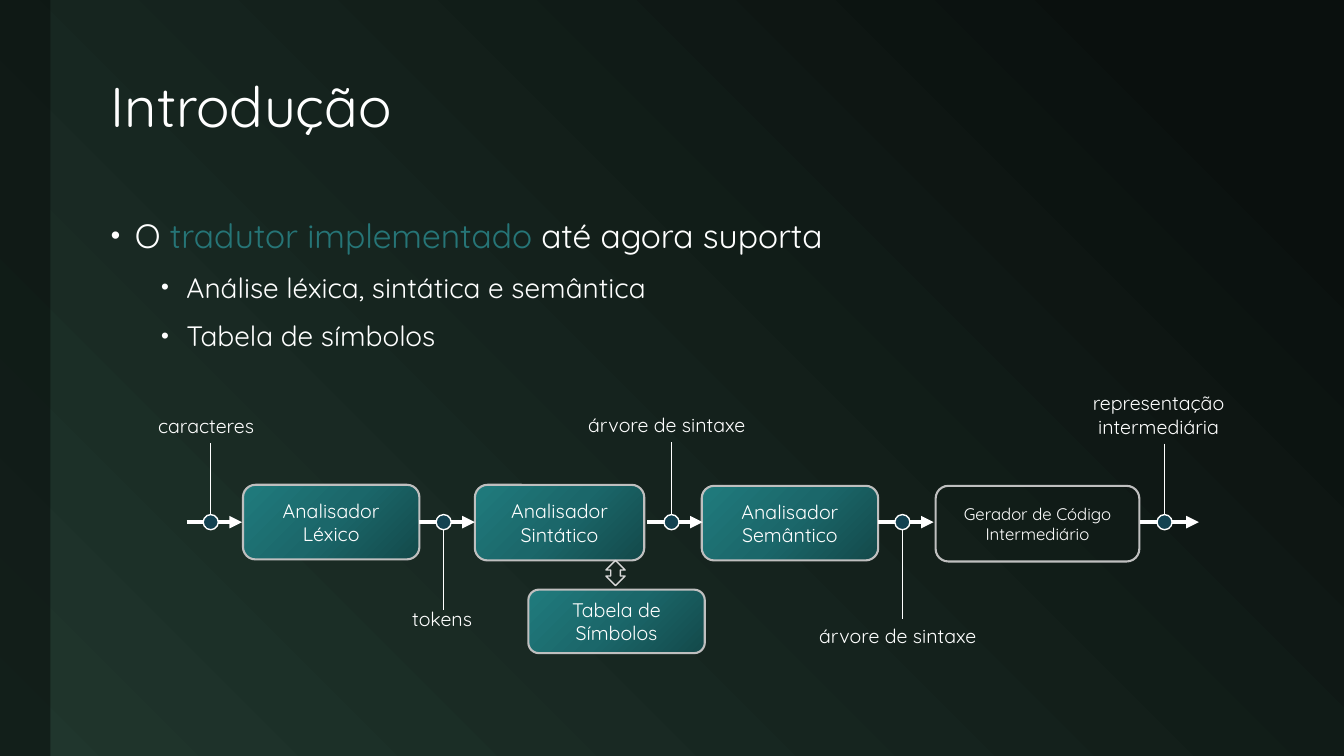
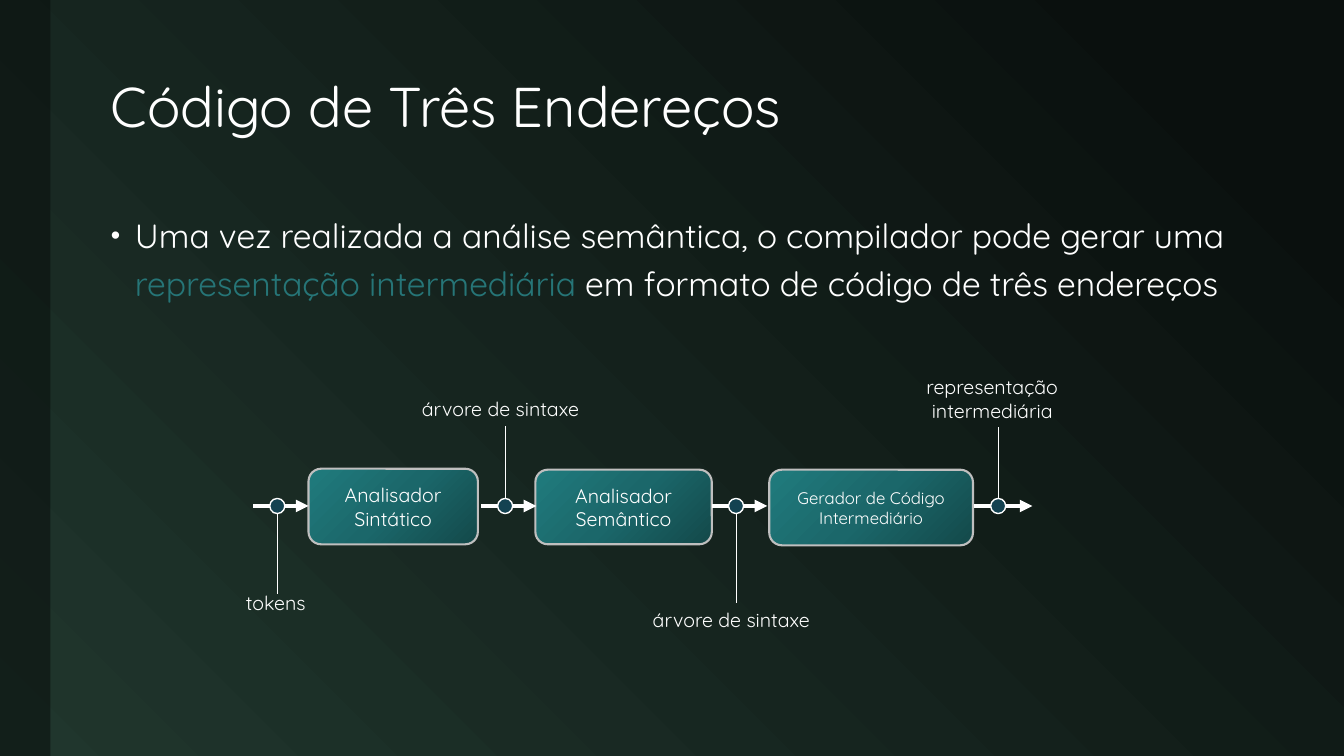
from copy import deepcopy
from dataclasses import dataclass

from pptx import Presentation, util as u
from pptx.dml import color as dc, fill as df
from pptx.enum import shapes as es, text as et
from pptx.oxml import ns, xmlchemy as xc
from pptx.shapes import autoshape, shapetree as tree
from pptx.slide import Slide
from pptx.text import text as tt

Stops = tuple[tuple[float, str], ...]


@dataclass(frozen=True)
class Theme:
    font: str = "Quicksand"
    white: str = "FFFFFF"
    accent: str = "267577"
    band: str = "0A100E"
    dot: str = "134251"
    box_edge: str = "BFBFBF"
    link_edge: str = "D9D9D9"
    backdrop: Stops = ((0.1, "0A100E"), (1, "20362D"))
    box_fill: Stops = ((0, "13494A"), (0.5, "1B676A"), (1, "207B7D"))
    title: float = 40
    topic: float = 24
    detail: float = 20
    label: float = 14
    small: float = 12


@dataclass(frozen=True)
class Stage:
    """A box of the compiler pipeline."""
    text: str
    left: float
    top: float
    width: float
    height: float
    size: float = 14
    filled: bool = True


@dataclass(frozen=True)
class Flow:
    """An arrow with a dot, and a tick that leads to its label."""
    label: str
    start: float
    label_top: float
    label_width: float
    length: float = 0.55
    overlap: float = 0


THEME = Theme()
AXIS = 5.18          # height of the arrows
DOT = 0.15
DOT_OFFSET = 0.24    # arrow start to dot centre

LEXER = Stage("Analisador\nLéxico", 2.41, 4.81, 1.75, 0.74)
PARSER = Stage("Analisador\nSintático", 4.71, 4.81, 1.68, 0.75)
SEMANTICS = Stage("Analisador\nSemântico", 6.96, 4.82, 1.75, 0.74)
SYMBOLS = Stage("Tabela de Símbolos", 5.24, 5.85, 1.75, 0.63)
GENERATOR = ("Gerador de Código Intermediário", 9.28, 4.82, 2.02, 0.75, THEME.small)

CHARACTERS = Flow("caracteres", 1.85, 4.06, 1.24)
SHARED_FLOWS = (
    Flow("tokens", 4.16, 5.97, 0.82, overlap=0.08),
    Flow("árvore de sintaxe", 6.42, 4.05, 1.85),
    Flow("árvore de sintaxe", 8.71, 6.14, 1.85),
    Flow("representação\nintermediária", 11.31, 3.83, 1.62, length=0.58),
)


# Formatting helpers
def rgb(value: str) -> dc.RGBColor:
    return dc.RGBColor.from_string(value)


def add_xml(parent: xc.BaseOxmlElement, tag: str, **attributes: str) -> None:
    child = parent.makeelement(ns.qn(tag), attributes)
    parent.append(child)


def paint_gradient(fill: df.FillFormat, stops: Stops, angle: float) -> None:
    fill.gradient()
    fill.gradient_angle = angle
    first = fill.gradient_stops[0]._gs
    for _ in stops[2:]:
        first.addnext(deepcopy(first))
    for stop, (position, value) in zip(fill.gradient_stops, stops):
        stop.position = position
        stop.color.rgb = rgb(value)


def write(frame: tt.TextFrame, content: str, *, size: float,
          align: et.PP_ALIGN = et.PP_ALIGN.LEFT,
          first_align: et.PP_ALIGN | None = None,
          line_spacing: float | None = None, before: float = 0,
          bullet_at: float | None = None, hanging: float = 0) -> None:
    """Append one paragraph per line; *starred* words take the accent."""
    for index, line in enumerate(content.split("\n")):
        paragraph = frame.paragraphs[0]
        if paragraph.runs:
            paragraph = frame.add_paragraph()
        paragraph.alignment = first_align if first_align and index == 0 else align
        paragraph.space_before = u.Pt(before)
        if line_spacing:
            paragraph.line_spacing = line_spacing
        if bullet_at is not None:
            properties = paragraph._p.get_or_add_pPr()
            properties.set("marL", str(u.Inches(bullet_at)))
            properties.set("indent", str(-u.Inches(hanging)))
            add_xml(properties, "a:buSzPct", val="80000")
            add_xml(properties, "a:buFont", typeface="Arial")
            add_xml(properties, "a:buChar", char="•")
        for part, words in enumerate(line.split("*")):
            if words:
                run = paragraph.add_run()
                run.text = words
                run.font.name = THEME.font
                run.font.size = u.Pt(size)
                run.font.color.rgb = rgb(THEME.accent if part % 2 else THEME.white)


# Drawing primitives
def add_frame(shapes: tree._BaseGroupShapes, left: float, top: float, width: float,
              height: float, wrap: bool = True) -> tt.TextFrame:
    box = shapes.add_textbox(*map(u.Inches, (left, top, width, height)))
    box.text_frame.word_wrap = wrap
    return box.text_frame


def add_outline(shapes: tree._BaseGroupShapes, kind: es.MSO_SHAPE, left: float,
                top: float, width: float, height: float, edge: str | None = None,
                weight: float = 1) -> autoshape.Shape:
    shape = shapes.add_shape(kind, *map(u.Inches, (left, top, width, height)))
    shape.shadow.inherit = False
    shape.fill.background()
    if edge:
        shape.line.color.rgb = rgb(edge)
        shape.line.width = u.Pt(weight)
    else:
        shape.line.fill.background()
    return shape


def add_line(shapes: tree._BaseGroupShapes, start: tuple[float, float],
             end: tuple[float, float], weight: float, arrow: bool = False) -> None:
    line = shapes.add_connector(es.MSO_CONNECTOR.STRAIGHT,
                                *map(u.Inches, (*start, *end)))
    line.line.color.rgb = rgb(THEME.white)
    line.line.width = u.Pt(weight)
    if arrow:
        add_xml(line.line._get_or_add_ln(), "a:tailEnd", type="triangle")
    add_xml(line._element.spPr, "a:effectLst")


# Pipeline parts
def draw_stage(shapes: tree._BaseGroupShapes, stage: Stage, dx: float,
               dy: float) -> None:
    box = add_outline(shapes, es.MSO_SHAPE.ROUNDED_RECTANGLE, stage.left + dx,
                      stage.top + dy, stage.width, stage.height,
                      THEME.box_edge, 1.5)
    if stage.filled:
        paint_gradient(box.fill, THEME.box_fill, 135)
    box.text_frame.vertical_anchor = et.MSO_ANCHOR.MIDDLE
    write(box.text_frame, stage.text, size=stage.size, align=et.PP_ALIGN.CENTER)


def draw_flow(shapes: tree._BaseGroupShapes, flow: Flow, dx: float,
              dy: float) -> None:
    start, axis, label_top = flow.start + dx, AXIS + dy, flow.label_top + dy
    center = start + DOT_OFFSET
    height = 0.34 + 0.23 * flow.label.count("\n")
    if label_top < axis:
        tick = (label_top + height, axis - DOT / 2)
    else:
        tick = (axis + DOT / 2, label_top + flow.overlap)

    add_line(shapes, (start, axis), (start + flow.length, axis), 3, arrow=True)
    add_line(shapes, (center, tick[0]), (center, tick[1]), 0.75)
    dot = add_outline(shapes, es.MSO_SHAPE.OVAL, center - DOT / 2,
                      axis - DOT / 2, DOT, DOT, THEME.white)
    dot.fill.solid()
    dot.fill.fore_color.rgb = rgb(THEME.dot)
    label = add_frame(shapes, center - flow.label_width / 2, label_top,
                      flow.label_width, height, wrap=False)
    write(label, flow.label, size=THEME.label, align=et.PP_ALIGN.CENTER,
          first_align=et.PP_ALIGN.LEFT)


def draw_pipeline(slide: Slide, stages: tuple[Stage, ...], flows: tuple[Flow, ...],
                  dx: float = 0, dy: float = 0) -> tree.GroupShapes:
    shapes = slide.shapes.add_group_shape().shapes
    for stage in stages:
        draw_stage(shapes, stage, dx, dy)
    for flow in flows:
        draw_flow(shapes, flow, dx, dy)
    return shapes


# Shared slide frame: backdrop, side band, title and bullets
def new_slide(deck: Presentation, title: str, topic: str, details: str = "") -> Slide:
    slide = deck.slides.add_slide(deck.slide_layouts[6])
    paint_gradient(slide.background.fill, THEME.backdrop, 225)

    band = add_outline(slide.shapes, es.MSO_SHAPE.RECTANGLE, 0, 0, 0.5, 7.5)
    band.fill.solid()
    band.fill.fore_color.rgb = rgb(THEME.band)
    band_color = band._element.spPr.find(ns.qn("a:solidFill"))[0]
    add_xml(band_color, "a:alpha", val="60000")

    heading = add_frame(slide.shapes, 1, 0.42, 11.65, 1.33)
    heading.vertical_anchor = et.MSO_ANCHOR.MIDDLE
    write(heading, title, size=THEME.title, line_spacing=0.9)

    body = add_frame(slide.shapes, 1, 2, 11.65, 4.83)
    write(body, topic, size=THEME.topic, line_spacing=1.2, before=18,
          bullet_at=0.24, hanging=0.24)
    if details:
        write(body, details, size=THEME.detail, line_spacing=1.2, before=6,
              bullet_at=0.75, hanging=0.25)
    return slide


deck = Presentation()
deck.slide_width, deck.slide_height = u.Inches(13.33), u.Inches(7.5)

# Slide 1: the translator so far, with the generator still missing
introduction = new_slide(
    deck, "Introdução", "O *tradutor implementado* até agora suporta",
    "Análise léxica, sintática e semântica\nTabela de símbolos")
pipeline = draw_pipeline(
    introduction,
    (SYMBOLS, LEXER, PARSER, SEMANTICS, Stage(*GENERATOR, filled=False)),
    (CHARACTERS, *SHARED_FLOWS))
add_outline(pipeline, es.MSO_SHAPE.UP_DOWN_ARROW, 6.01, 5.56, 0.19, 0.25,
            THEME.link_edge)

# Slide 2: the pipeline from tokens on, with the generator in place
three_address = new_slide(
    deck, "Código de Três Endereços",
    "Uma vez realizada a análise semântica, o compilador pode gerar uma "
    "*representação intermediária* em formato de código de três endereços")
draw_pipeline(three_address, (PARSER, SEMANTICS, Stage(*GENERATOR)),
              SHARED_FLOWS, dx=-1.65, dy=-0.16)

deck.save("out.pptx")
